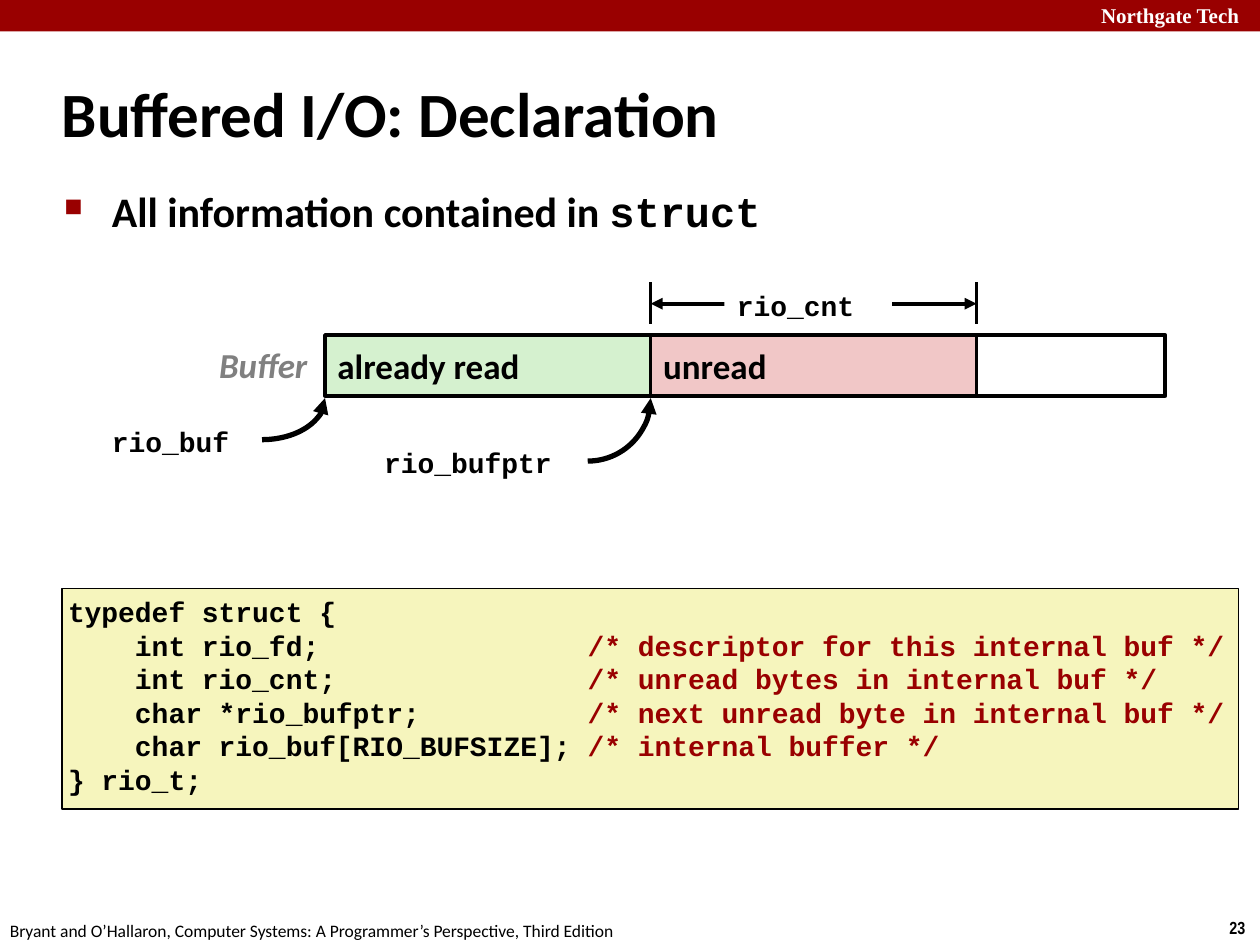
from pptx import Presentation
from pptx.dml.color import RGBColor
from pptx.enum.shapes import MSO_CONNECTOR as Line, MSO_SHAPE as Shape
from pptx.enum.text import MSO_ANCHOR as Anchor, MSO_AUTO_SIZE as AutoSize, PP_ALIGN as Align
from pptx.oxml.ns import qn
from pptx.util import Inches, Pt
from lxml.etree import SubElement

BLACK, WHITE, RED, GRAY = "000000", "FFFFFF", "990000", "808080"
GREEN, PINK, YELLOW = "D5F1CF", "F1C7C7", "F6F5BD"
BODY, CODE = "Calibri", "Courier New"
CODE_FORMAT = {"name": CODE, "size": Pt(16), "bold": True}
CELL_FORMAT = {"name": BODY, "size": Pt(20), "bold": True}
NOTE_FORMAT = {"name": BODY, "size": Pt(10)}

# Buffer diagram: the read and unread parts have equal width
BUFFER_LEFT, BUFFER_TOP, BUFFER_WIDTH, BUFFER_HEIGHT = 2.58, 2.66, 6.67, 0.48
PART_WIDTH = 2.585
UNREAD_LEFT = BUFFER_LEFT + PART_WIDTH
UNREAD_RIGHT = UNREAD_LEFT + PART_WIDTH
POINTER_TOP = 3.16

COMMENT_COLUMN = 31
STRUCT_LINES = [
    ("typedef struct {", ""),
    ("    int rio_fd;", "/* descriptor for this internal buf */"),
    ("    int rio_cnt;", "/* unread bytes in internal buf */"),
    ("    char *rio_bufptr;", "/* next unread byte in internal buf */"),
    ("    char rio_buf[RIO_BUFSIZE];", "/* internal buffer */"),
    ("} rio_t;", ""),
]


def rgb(color):
    return RGBColor.from_string(color)


def add_span(para, text, font_format, color=BLACK):
    span = para.add_run()
    span.text = text
    for name, value in font_format.items():
        setattr(span.font, name, value)
    span.font.color.rgb = rgb(color)


def set_frame(box, wrap=True, anchor=Anchor.TOP, inset=None):
    frame = box.text_frame
    frame.word_wrap, frame.vertical_anchor = wrap, anchor
    if inset is not None:
        for side in ("left", "right", "top", "bottom"):
            setattr(frame, f"margin_{side}", Inches(inset))
    return frame


def set_indent(para, inches):
    """Give the paragraph a hanging indent."""
    properties = para._p.get_or_add_pPr()
    properties.set("marL", str(Inches(inches)))
    properties.set("indent", str(-Inches(inches)))
    return properties


def add_text(slide, bounds, text, font_format, color=BLACK, wrap=True):
    box = slide.shapes.add_textbox(*map(Inches, bounds))
    add_span(set_frame(box, wrap).paragraphs[0], text, font_format, color)
    return box


def style_line(shape, width, arrow_ends=()):
    shape.line.color.rgb = rgb(BLACK)
    shape.line.width = Pt(width)
    for end in arrow_ends:
        SubElement(shape.line._get_or_add_ln(), qn(f"a:{end}"), type="triangle")


def add_box(slide, bounds, fill=None, line_width=None, kind=Shape.RECTANGLE):
    box = slide.shapes.add_shape(kind, *map(Inches, bounds))
    box.shadow.inherit = False
    if fill:
        box.fill.solid()
        box.fill.fore_color.rgb = rgb(fill)
    else:
        box.fill.background()
    if line_width:
        style_line(box, line_width)
    else:
        box.line.fill.background()
    return box


def add_part(slide, left, text, fill):
    part = add_box(slide, (left, BUFFER_TOP, PART_WIDTH, BUFFER_HEIGHT), fill, 1.5)
    para = set_frame(part, anchor=Anchor.MIDDLE).paragraphs[0]
    para.alignment = Align.LEFT
    add_span(para, text, CELL_FORMAT)


def add_line(slide, start, end, width, arrow_ends=()):
    line = slide.shapes.add_connector(Line.STRAIGHT, *map(Inches, (*start, *end)))
    style_line(line, width, arrow_ends)
    SubElement(line._element.spPr, qn("a:effectLst"))


def add_pointer(slide, tip, width, height):
    """Draw the lower right quarter of an ellipse, with its arrowhead at tip."""
    bounds = (tip - 2 * width, POINTER_TOP - height, 2 * width, 2 * height)
    arc = add_box(slide, bounds, kind=Shape.ARC)
    arc.adjustments[0] = 0
    arc.adjustments[1] = 54  # 90 degrees, in units of 100000/60000 degree
    style_line(arc, 3, ["headEnd"])


def add_title(slide):
    title = slide.shapes.title
    title.left, title.top, title.width, title.height = map(Inches, (0.39, 0.48, 8.3, 0.83))
    frame = set_frame(title, anchor=Anchor.MIDDLE)
    frame.auto_size = AutoSize.NONE
    para = frame.paragraphs[0]
    para.alignment = Align.LEFT
    set_indent(para, 0.13)
    add_span(para, "Buffered I/O: Declaration", {"name": BODY, "size": Pt(36), "bold": True})


def add_bullet(slide):
    font_format = {"name": BODY, "size": Pt(24), "bold": True}
    box = add_text(slide, (0.41, 1.42, 9.09, 0.66), "All information contained in ", font_format)
    para = box.text_frame.paragraphs[0]
    add_span(para, "struct", {**font_format, "name": CODE})
    properties = set_indent(para, 0.38)
    SubElement(SubElement(properties, qn("a:buClr")), qn("a:srgbClr"), val=RED)
    SubElement(properties, qn("a:buSzPct"), val="60000")
    SubElement(properties, qn("a:buChar"), char="■")


def add_page_frame(slide):
    add_box(slide, (0, 0, 10, 0.25), RED)
    add_text(slide, (8.64, -0.03, 1.43, 0.3), "Northgate Tech",
             {"name": "Times New Roman", "size": Pt(12), "bold": True}, WHITE)
    add_text(slide, (9.66, 7.23, 0.34, 0.27), "23",
             {"name": "Arial Narrow", "size": Pt(10), "bold": True}, wrap=False)
    add_text(slide, (-0.02, 7.25, 5.08, 0.27),
             "Bryant and O’Hallaron, Computer Systems: A Programmer’s Perspective, Third Edition",
             NOTE_FORMAT)


def add_struct(slide):
    box = add_box(slide, (0.49, 4.67, 9.34, 1.75), YELLOW, 1)
    frame = set_frame(box, inset=0.05)
    for index, (code, comment) in enumerate(STRUCT_LINES):
        para = frame.add_paragraph() if index else frame.paragraphs[0]
        para.alignment = Align.LEFT
        add_span(para, code.ljust(COMMENT_COLUMN) if comment else code, CODE_FORMAT)
        if comment:
            add_span(para, comment, CODE_FORMAT, RED)


def add_buffer(slide):
    add_part(slide, UNREAD_LEFT, "unread", PINK)
    add_part(slide, BUFFER_LEFT, "already read", GREEN)
    add_box(slide, (BUFFER_LEFT, BUFFER_TOP, BUFFER_WIDTH, BUFFER_HEIGHT), line_width=2.25)
    add_text(slide, (1.64, 2.68, 0.93, 0.44), "Buffer", {**CELL_FORMAT, "italic": True}, GRAY)

    add_pointer(slide, BUFFER_LEFT, 0.5, 0.33)
    add_pointer(slide, UNREAD_LEFT, 0.5, 0.5)
    add_text(slide, (0.79, 3.32, 1.14, 0.34), "rio_buf", CODE_FORMAT)
    add_text(slide, (2.95, 3.49, 1.75, 0.34), "rio_bufptr", CODE_FORMAT)

    for x in (UNREAD_LEFT, UNREAD_RIGHT):
        add_line(slide, (x, 2.57), (x, 2.24), 1.5)
    add_line(slide, (UNREAD_LEFT, 2.41), (UNREAD_RIGHT, 2.41), 2.25, ["headEnd", "tailEnd"])
    count = add_box(slide, (5.75, 2.24, 1.33, 0.34), WHITE)
    para = set_frame(count).paragraphs[0]
    para.alignment = Align.LEFT
    add_span(para, "rio_cnt", CODE_FORMAT)


def main():
    deck = Presentation()
    deck.slide_width, deck.slide_height = Inches(10), Inches(7.5)
    slide = deck.slides.add_slide(deck.slide_layouts[5])
    add_page_frame(slide)
    add_title(slide)
    add_bullet(slide)
    add_struct(slide)
    add_buffer(slide)
    deck.save("out.pptx")


if __name__ == "__main__":
    main()
